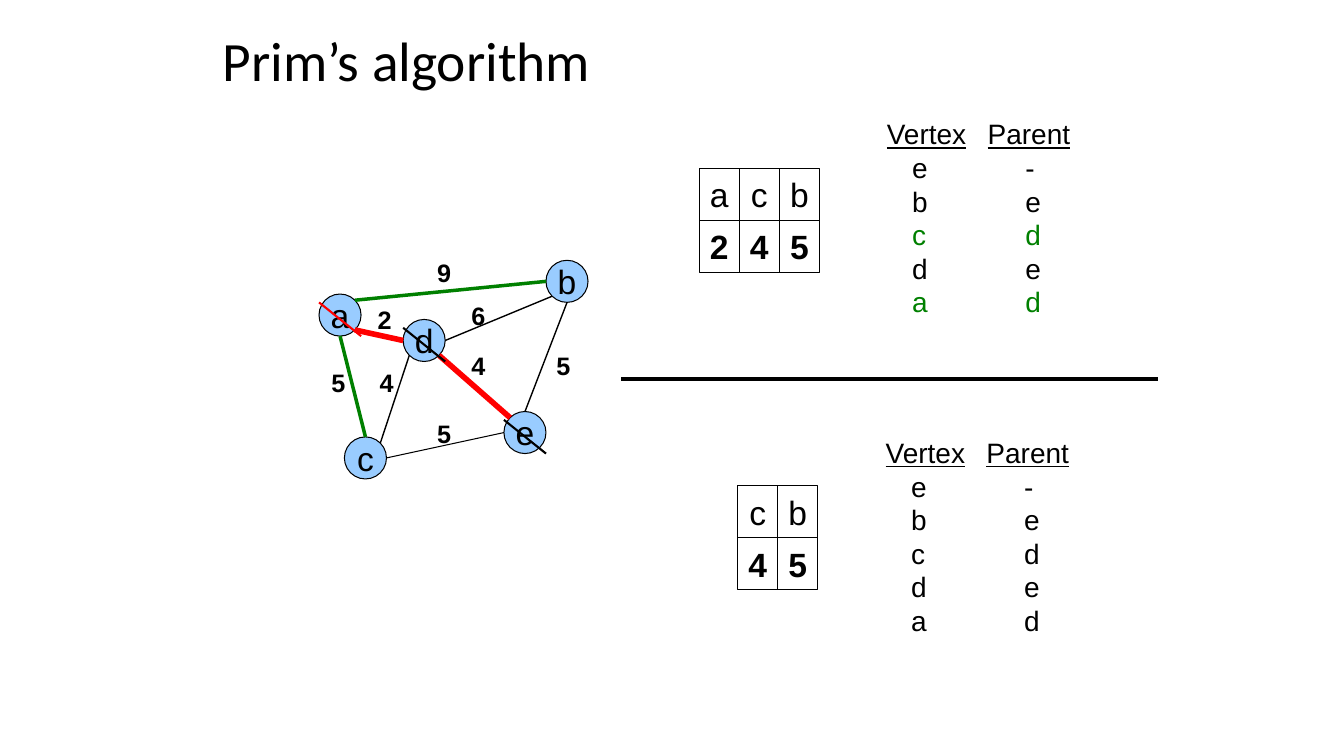
from math import cos, radians, sin
from typing import NamedTuple

from lxml.etree import SubElement
from pptx import Presentation
from pptx.dml.color import RGBColor
from pptx.enum.shapes import MSO_CONNECTOR, MSO_SHAPE
from pptx.enum.text import MSO_ANCHOR, PP_ALIGN
from pptx.oxml.ns import qn
from pptx.util import Cm, Pt

BLACK, GREEN, RED, NODE_BLUE = "000000", "008000", "FF0000", "99CCFF"
RADIUS = 0.53
CELL_W, CELL_H = 1.01, 1.31
TAB_STOPS = (0.64, 2.54, 3.49)
# Angles of the points on a node, clockwise from the right
E, SE, S, SW, W, NW, N, NE = range(0, 360, 45)


class Node(NamedTuple):
    x: float
    y: float
    strike: str = ""


class Edge(NamedTuple):
    start: str
    start_angle: int
    end: str
    end_angle: int
    color: str
    width: float


class Weight(NamedTuple):
    text: str
    x: float
    y: float


class Step(NamedTuple):
    queue: dict[str, str]
    queue_x: float
    queue_y: float
    list_x: float
    list_y: float
    changed: str


NODES = {
    "a": Node(8.57, 7.94, RED),
    "c": Node(9.21, 11.54),
    "e": Node(13.23, 10.9, BLACK),
    "d": Node(10.69, 8.58, BLACK),
    "b": Node(14.29, 7.09),
}
EDGES = [
    Edge("a", NE, "b", W, GREEN, 2.5),
    Edge("d", E, "b", SW, BLACK, 1),
    Edge("a", S, "c", N, GREEN, 2.5),
    Edge("a", SE, "d", W, RED, 4),
    Edge("c", NE, "d", SW, BLACK, 1),
    Edge("d", SE, "e", NW, RED, 4),
    Edge("b", S, "e", N, BLACK, 1),
    Edge("e", W, "c", E, BLACK, 0.75),
]
WEIGHTS = [
    Weight("2", 9.27, 7.54), Weight("4", 9.32, 9.14),
    Weight("5", 8.1, 9.14), Weight("9", 10.77, 6.35),
    Weight("6", 11.63, 7.44), Weight("4", 11.63, 8.71),
    Weight("5", 10.77, 10.41), Weight("5", 13.77, 8.71),
]
PARENTS = {"e": "-", "b": "e", "c": "d", "d": "e", "a": "d"}
STEPS = [
    Step({"a": "2", "c": "4", "b": "5"}, 17.62, 4.24, 22.1, 2.82, "ca"),
    Step({"c": "4", "b": "5"}, 18.59, 12.24, 22.07, 10.85, ""),
]


def rgb(color: str) -> RGBColor:
    return RGBColor.from_string(color)


def set_font(p, size: float, color: str = BLACK, name: str = "Arial", **style) -> None:
    values = {"size": Pt(size), "name": name} | style
    for r in p.runs:
        for key, value in values.items():
            setattr(r.font, key, value)
        r.font.color.rgb = rgb(color)


def add_text(s, x: float, y: float, w: float, h: float, text: str, size: float,
             wrap: bool = False, **style):
    tf = s.shapes.add_textbox(Cm(x), Cm(y), Cm(w), Cm(h)).text_frame
    tf.word_wrap = wrap
    tf.text = text
    set_font(tf.paragraphs[0], size, **style)
    return tf


def add_line(s, x1: float, y1: float, x2: float, y2: float, color: str, width: float) -> None:
    line = s.shapes.add_connector(MSO_CONNECTOR.STRAIGHT, Cm(x1), Cm(y1), Cm(x2), Cm(y2))
    line.line.color.rgb = rgb(color)
    line.line.width = Pt(width)
    SubElement(line._element.spPr, qn("a:effectLst"))


def add_box(s, kind: MSO_SHAPE, x: float, y: float, w: float, h: float, text: str,
            fill: str = "", **style) -> None:
    sp = s.shapes.add_shape(kind, Cm(x), Cm(y), Cm(w), Cm(h))
    sp.shadow.inherit = False
    if fill:
        sp.fill.solid()
        sp.fill.fore_color.rgb = rgb(fill)
    else:
        sp.fill.background()
    sp.line.color.rgb = rgb(BLACK)
    sp.line.width = Pt(0.75)
    tf = sp.text_frame
    tf.word_wrap = not fill
    tf.vertical_anchor = MSO_ANCHOR.MIDDLE
    p = tf.paragraphs[0]
    p.text = text
    p.alignment = PP_ALIGN.CENTER
    set_font(p, 24, **style)


def rim(name: str, index: int) -> tuple[float, float]:
    node, angle = NODES[name], radians(index)
    return node.x + RADIUS * cos(angle), node.y + RADIUS * sin(angle)


def add_graph(s) -> None:
    for name, node in NODES.items():
        add_box(s, MSO_SHAPE.OVAL, node.x - RADIUS, node.y - RADIUS,
                2 * RADIUS, 2 * RADIUS, name, fill=NODE_BLUE)
    for edge in EDGES:
        add_line(s, *rim(edge.start, edge.start_angle), *rim(edge.end, edge.end_angle),
                 edge.color, edge.width)
    for weight in WEIGHTS:
        add_text(s, weight.x, weight.y, 0.86, 1.02, weight.text, 18, bold=True)
    for node in NODES.values():
        if node.strike:
            add_line(s, node.x - RADIUS, node.y - 0.32,
                     node.x + RADIUS, node.y + RADIUS, node.strike, 1.5)


def add_queue(s, step: Step) -> None:
    for row, values in enumerate((step.queue.keys(), step.queue.values())):
        for col, text in enumerate(values):
            add_box(s, MSO_SHAPE.RECTANGLE, step.queue_x + col * CELL_W,
                    step.queue_y + row * CELL_H, CELL_W, CELL_H, text, bold=row == 1)


def add_tabs(p) -> None:
    tabs = SubElement(p._p.get_or_add_pPr(), qn("a:tabLst"))
    for stop in TAB_STOPS:
        SubElement(tabs, qn("a:tab"), pos=str(Cm(stop)), algn="l")


def add_parents(s, step: Step) -> None:
    tf = add_text(s, step.list_x, step.list_y, 5.13, 5.33, "Vertex\tParent", 20,
                  underline=True)
    add_tabs(tf.paragraphs[0])
    for vertex, parent in PARENTS.items():
        p = tf.add_paragraph()
        add_tabs(p)
        p.text = f"\t{vertex}\t\t{parent}"
        set_font(p, 20, GREEN if vertex in step.changed else BLACK)


def main() -> None:
    prs = Presentation()
    prs.slide_width, prs.slide_height = Cm(33.87), Cm(19.05)
    s = prs.slides.add_slide(prs.slide_layouts[6])

    # Title
    tf = add_text(s, 5.36, 0.64, 24.28, 1.9, "Prim’s algorithm", 39.6,
                  wrap=True, name="Calibri")
    tf.vertical_anchor = MSO_ANCHOR.MIDDLE
    tf.paragraphs[0].line_spacing = 0.9

    # Weighted graph
    add_graph(s)

    # Queue and parents before and after the step
    for step in STEPS:
        add_queue(s, step)
        add_parents(s, step)
    add_line(s, 15.65, 9.55, 29.18, 9.55, BLACK, 3)

    prs.save("out.pptx")


if __name__ == "__main__":
    main()
